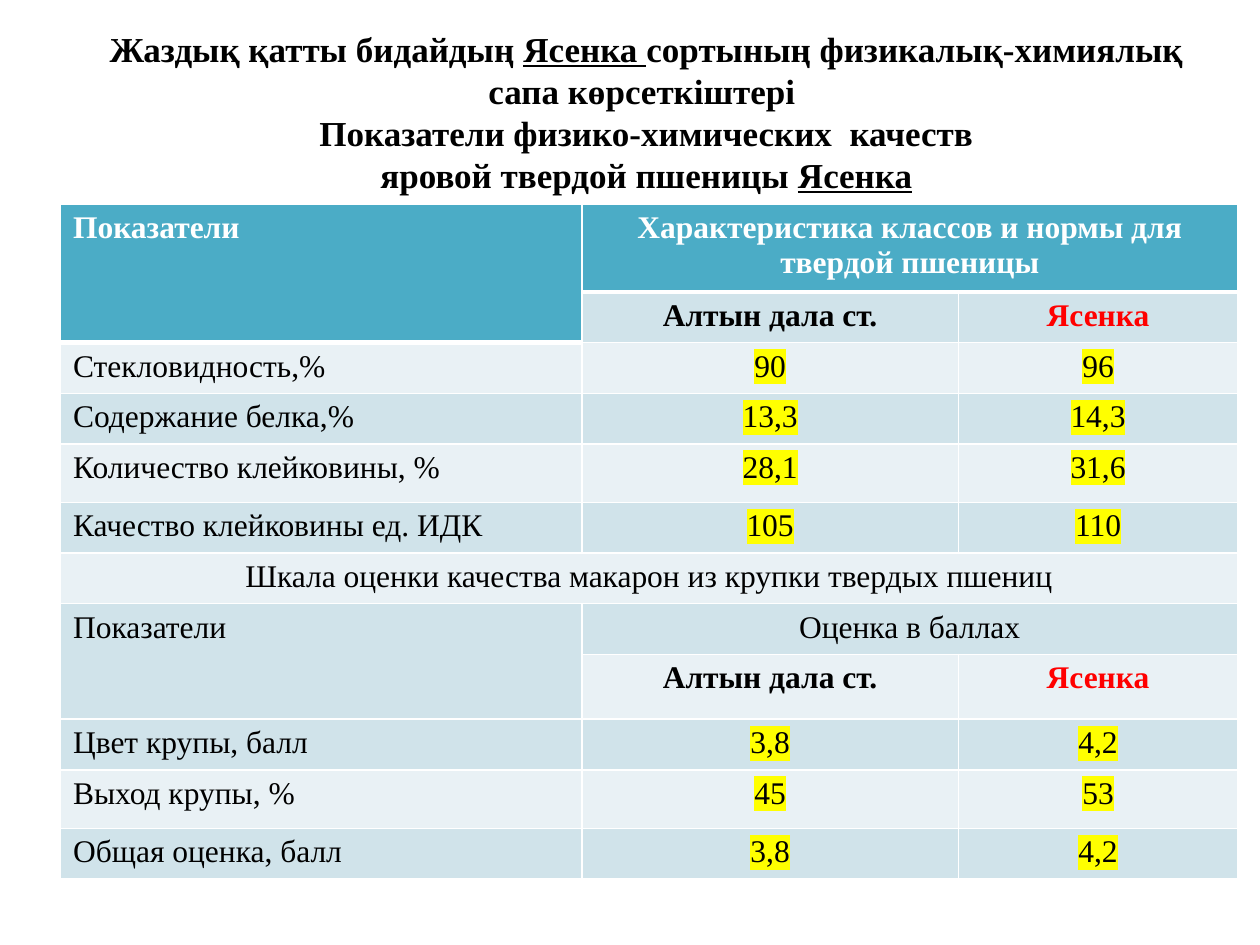
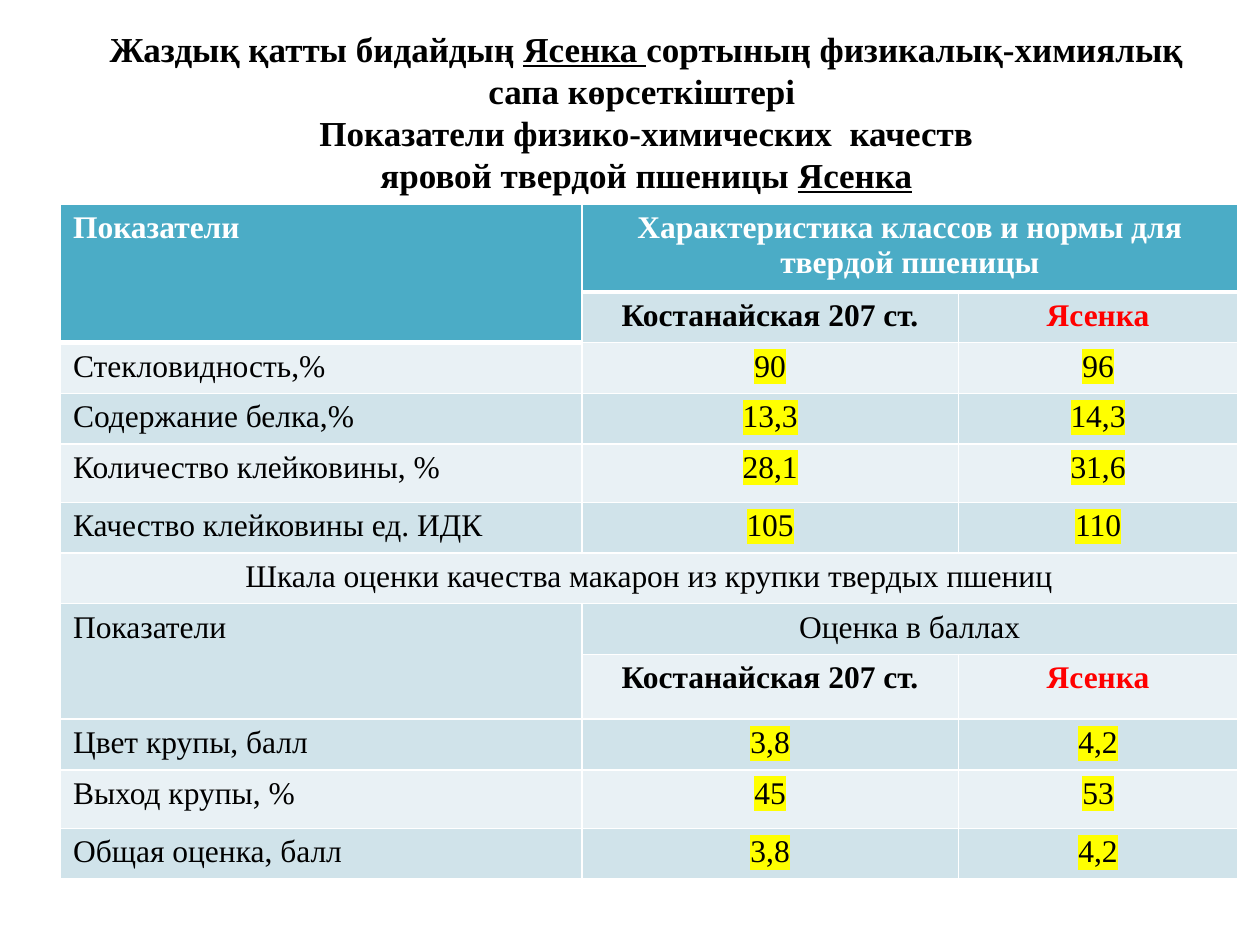
from lxml.etree import SubElement
from pptx import Presentation
from pptx.dml.color import RGBColor
from pptx.enum.text import MSO_AUTO_SIZE, PP_ALIGN
from pptx.oxml.ns import qn
from pptx.util import Cm, Pt

FONT = "Times New Roman"
BLACK = RGBColor(0x00, 0x00, 0x00)
WHITE = RGBColor(0xFF, 0xFF, 0xFF)
RED = RGBColor(0xFF, 0x00, 0x00)
YELLOW = RGBColor(0xFF, 0xFF, 0x00)
TEAL = RGBColor(0x4B, 0xAC, 0xC6)
BAND_DARK = RGBColor(0xD0, 0xE3, 0xEA)
BAND_LIGHT = RGBColor(0xE9, 0xF1, 0xF5)

VARIETY = "Ясенка"
STANDARDS = ["Алтын дала ст.", "Костанайская 207 ст."]  # one slide each

# Title lines as (text, underlined) pieces
TITLE = [
    [("Жаздық қатты бидайдың ", False), (VARIETY + " ", True),
     ("сортының физикалық-химиялық сапа көрсеткіштері ", False)],
    [("Показатели физико-химических  качеств", False)],
    [("яровой твердой пшеницы ", False), (VARIETY, True)],
]

GRAIN = [
    ("Стекловидность,%", "90", "96"),
    ("Содержание белка,%", "13,3", "14,3"),
    ("Количество клейковины, %", "28,1", "31,6"),
    ("Качество клейковины ед. ИДК", "105", "110"),
]
PASTA = [
    ("Цвет крупы, балл", "3,8", "4,2"),
    ("Выход крупы, %", "45", "53"),
    ("Общая оценка, балл", "3,8", "4,2"),
]
SCALE_ROW = 2 + len(GRAIN)
SCORE_ROW = SCALE_ROW + 1
VARIETY_ROWS = (1, SCORE_ROW + 1)
VALUE_ROWS = (*range(2, SCALE_ROW), *range(SCORE_ROW + 2, SCORE_ROW + 2 + len(PASTA)))
# First and last cell of each merged area
MERGES = [
    ((0, 0), (1, 0)), ((0, 1), (0, 2)),
    ((SCALE_ROW, 0), (SCALE_ROW, 2)),
    ((SCORE_ROW, 0), (SCORE_ROW + 1, 0)), ((SCORE_ROW, 1), (SCORE_ROW, 2)),
]
HEADER_CELLS = {(0, 0), (1, 0), (0, 1), (0, 2)}

LEFT, TITLE_TOP, TABLE_TOP = Cm(1.22), Cm(0.43), Cm(4.11)
TITLE_WIDTH, TITLE_HEIGHT = Cm(23.62), Cm(3.68)
COLUMN_WIDTHS = [Cm(10.51), Cm(7.59), Cm(5.63)]
ROW_HEIGHT = Cm(1.02)
TALL_ROWS = {0: Cm(1.74), 4: Cm(1.18), 8: Cm(1.31), 10: Cm(1.18)}


def table_rows(standard):
    return [
        ("Показатели", "Характеристика классов и нормы для твердой пшеницы", ""),
        ("", standard, VARIETY),
        *GRAIN,
        ("Шкала оценки качества макарон из крупки твердых пшениц", "", ""),
        ("Показатели", "Оценка в баллах", ""),
        ("", standard, VARIETY),
        *PASTA,
    ]


def style_run(run, size, color, bold):
    run.font.name = FONT
    run.font.size = Pt(size)
    run.font.bold = bold
    run.font.color.rgb = color


def highlight(run):
    properties = run._r.get_or_add_rPr()
    mark = SubElement(properties, qn("a:highlight"))
    SubElement(mark, qn("a:srgbClr"), val=str(YELLOW))
    properties.find(qn("a:solidFill")).addnext(mark)


def add_borders(cell, row, column):
    """White cell edges, thicker where the header meets the body."""
    in_header = (row, column) in HEADER_CELLS
    widths = {"L": 1, "R": 1, "T": 1, "B": 1}
    if in_header and (row + 1, column) not in HEADER_CELLS:
        widths["B"] = 3
    if not in_header and (row - 1, column) in HEADER_CELLS:
        widths["T"] = 3
    properties = cell._tc.get_or_add_tcPr()
    for side, width in widths.items():
        edge = SubElement(properties, qn(f"a:ln{side}"), w=str(Pt(width)))
        fill = SubElement(edge, qn("a:solidFill"))
        SubElement(fill, qn("a:srgbClr"), val=str(WHITE))


def fill_cell(cell, row, column, text):
    in_header = (row, column) in HEADER_CELLS
    add_borders(cell, row, column)
    cell.fill.solid()
    band = BAND_DARK if row % 2 else BAND_LIGHT
    cell.fill.fore_color.rgb = TEAL if in_header else band
    if not text:
        return
    cell.text_frame.text = text
    paragraph = cell.text_frame.paragraphs[0]
    centred = column > 0 or row == SCALE_ROW
    paragraph.alignment = PP_ALIGN.CENTER if centred else PP_ALIGN.LEFT
    run = paragraph.runs[0]
    color = WHITE if in_header else RED if text == VARIETY else BLACK
    style_run(run, 18, color, in_header or row in VARIETY_ROWS)
    if column > 0 and row in VALUE_ROWS:
        highlight(run)


def add_title(slide):
    box = slide.shapes.add_textbox(LEFT, TITLE_TOP, TITLE_WIDTH, TITLE_HEIGHT)
    frame = box.text_frame
    frame.word_wrap = True
    frame.auto_size = MSO_AUTO_SIZE.SHAPE_TO_FIT_TEXT
    for number, line in enumerate(TITLE):
        paragraph = frame.add_paragraph() if number else frame.paragraphs[0]
        paragraph.alignment = PP_ALIGN.CENTER
        for text, underlined in line:
            run = paragraph.add_run()
            run.text = text
            style_run(run, 20, BLACK, True)
            run.font.underline = underlined


def add_quality_table(slide, standard):
    rows = table_rows(standard)
    heights = [TALL_ROWS.get(row, ROW_HEIGHT) for row in range(len(rows))]
    table = slide.shapes.add_table(
        len(rows), len(COLUMN_WIDTHS), LEFT, TABLE_TOP,
        sum(COLUMN_WIDTHS), sum(heights)).table
    table.first_row = table.horz_banding = False
    for column, width in zip(table.columns, COLUMN_WIDTHS):
        column.width = width
    for row, height in zip(table.rows, heights):
        row.height = height
    for first, last in MERGES:
        table.cell(*first).merge(table.cell(*last))
    for row, texts in enumerate(rows):
        for column, text in enumerate(texts):
            fill_cell(table.cell(row, column), row, column, text)


def main():
    presentation = Presentation()
    presentation.slide_width, presentation.slide_height = Cm(25.4), Cm(19.05)
    for standard in STANDARDS:
        slide = presentation.slides.add_slide(presentation.slide_layouts[6])
        add_title(slide)
        add_quality_table(slide, standard)
    presentation.save("out.pptx")


if __name__ == "__main__":
    main()
